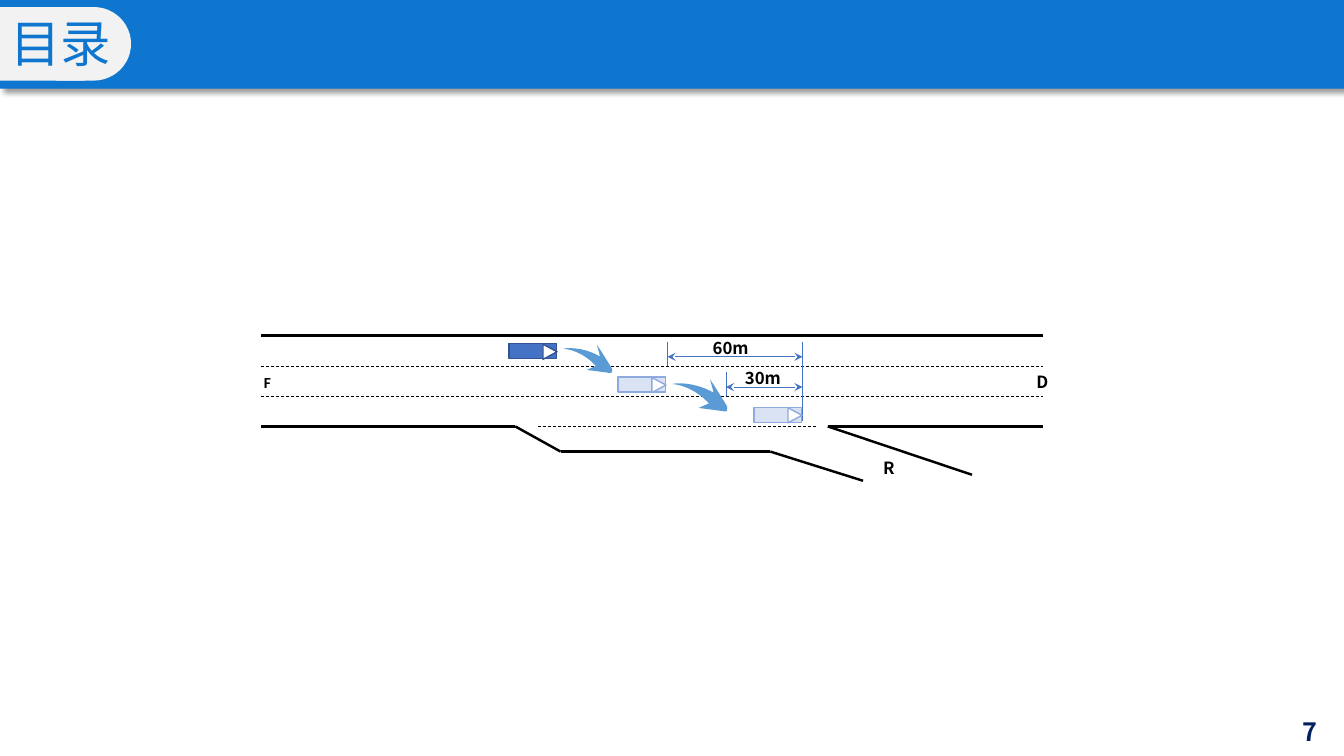
from dataclasses import dataclass
from typing import Any, NamedTuple

from lxml import etree
from pptx import Presentation
from pptx.dml.color import RGBColor
from pptx.enum.dml import MSO_LINE
from pptx.enum.shapes import MSO_CONNECTOR, MSO_SHAPE
from pptx.enum.text import MSO_ANCHOR, MSO_AUTO_SIZE, PP_ALIGN
from pptx.oxml.ns import qn
from pptx.util import Inches, Pt

STRAIGHT = MSO_CONNECTOR.STRAIGHT
RECTANGLE, TRIANGLE, DELAY = MSO_SHAPE.RECTANGLE, MSO_SHAPE.ISOSCELES_TRIANGLE, MSO_SHAPE.FLOWCHART_DELAY
DASH = MSO_LINE.DASH
TOP, MIDDLE = MSO_ANCHOR.TOP, MSO_ANCHOR.MIDDLE
LEFT, CENTER, JUSTIFY = PP_ALIGN.LEFT, PP_ALIGN.CENTER, PP_ALIGN.JUSTIFY


@dataclass(frozen=True)
class Theme:
    header: str = "0E76CE"
    badge: str = "F2F2F2"
    number: str = "002060"
    black: str = "000000"
    white: str = "FFFFFF"
    dimension: str = "4472C4"
    car: str = "4472C4"
    car_line: str = "325491"
    ghost: str = "DAE3F3"
    ghost_line: str = "8FAADC"
    arrow: str = "5B9BD5"
    font: str = "Noto Sans CJK SC"
    small_font: str = "Calibri"
    title_size: int = 36
    number_size: int = 18
    label_size: int = 12
    small_size: int = 11


THEME = Theme()


class Line(NamedTuple):
    x1: float
    y1: float
    x2: float
    y2: float


@dataclass(frozen=True)
class LineStyle:
    color: str
    width: float
    dash: Any = None
    arrows: bool = False


@dataclass(frozen=True)
class Label:
    text: str
    left: float
    top: float
    width: float
    height: float = 0.36
    size: int = THEME.label_size
    font: str = THEME.font
    color: str = THEME.black
    bold: bool = True
    align: Any = JUSTIFY
    anchor: Any = TOP
    line_spacing: float = 1.0
    space_after: int = 0


class Car(NamedTuple):
    left: float
    top: float
    fill: str
    line: str


class Swoosh(NamedTuple):
    left: float
    top: float
    scale: float


ROAD_LEFT, ROAD_RIGHT, ROAD_TOP, LANE = 2.59, 10.34, 3.33, 0.3
ROAD_BOTTOM = ROAD_TOP + 3 * LANE
GORE, EXIT = 8.21, 7.96

ROAD_EDGES = [
    Line(ROAD_LEFT, ROAD_TOP, ROAD_RIGHT, ROAD_TOP),
    Line(ROAD_LEFT, ROAD_BOTTOM, 5.11, ROAD_BOTTOM),
    Line(5.11, ROAD_BOTTOM, 5.56, 4.48),
    Line(5.56, 4.48, 7.64, 4.48),
    Line(7.64, 4.48, 8.56, 4.77),
    Line(GORE, ROAD_BOTTOM, ROAD_RIGHT, ROAD_BOTTOM),
    Line(GORE, ROAD_BOTTOM, 9.64, 4.71),
]
LANE_MARKS = [Line(ROAD_LEFT, ROAD_TOP + n * LANE, ROAD_RIGHT, ROAD_TOP + n * LANE) for n in (1, 2)]
LANE_MARKS.append(Line(5.34, ROAD_BOTTOM, 8.1, ROAD_BOTTOM))
EXTENSIONS = [Line(6.62, 3.39, 6.62, 3.63), Line(7.2, 3.69, 7.2, 3.93), Line(EXIT, 3.39, EXIT, 4.18)]
DIMENSIONS = [Line(6.62, 3.54, EXIT, 3.54), Line(7.2, 3.84, EXIT, 3.84)]
LINE_GROUPS = [
    (LineStyle(THEME.black, 1.75), ROAD_EDGES),
    (LineStyle(THEME.black, 0.5, dash=DASH), LANE_MARKS),
    (LineStyle(THEME.dimension, 0.5), EXTENSIONS),
    (LineStyle(THEME.dimension, 0.5, arrows=True), DIMENSIONS),
]
CARS = [
    Car(5.05, 3.41, THEME.car, THEME.car_line),
    Car(6.13, 3.74, THEME.ghost, THEME.ghost_line),
    Car(7.48, 4.04, THEME.ghost, THEME.ghost_line),
]
SWOOSHES = [Swoosh(5.59, 3.46, 1), Swoosh(6.67, 3.81, 1.13)]
LABELS = [
    Label("F", 2.52, 3.64, 0.33, size=THEME.small_size, font=THEME.small_font,
          align=LEFT, line_spacing=1.07, space_after=8),
    Label("D", 10.18, 3.64, 0.62),
    Label("R", 8.66, 4.49, 0.69),
    Label("60m", 6.97, 3.3, 0.69),
    Label("30m", 7.29, 3.6, 0.69),
    Label("7", 12.64, 7.06, 0.7, 0.4, size=THEME.number_size, color=THEME.number, align=CENTER, anchor=MIDDLE),
]
TITLE = Label("目录", 0, 0.07, 1.21, 0.71, size=THEME.title_size, color=THEME.header, bold=False, align=LEFT)


def set_values(target: Any, values: dict[str, Any]) -> None:
    for name, value in values.items():
        setattr(target, name, value)


def paint(shape: Any, fill: str, line: str | None = None) -> None:
    shape.shadow.inherit = False
    shape.fill.solid()
    shape.fill.fore_color.rgb = RGBColor.from_string(fill)
    if line:
        shape.line.color.rgb = RGBColor.from_string(line)
        shape.line.width = Pt(1)
    else:
        shape.line.fill.background()


def add_box(slide: Any, kind: Any, box: tuple, fill: str, line: str | None = None) -> Any:
    shape = slide.shapes.add_shape(kind, *map(Inches, box))
    paint(shape, fill, line)
    return shape


def add_header_shadow(shape: Any) -> None:
    effects = shape.element.spPr.find(qn("a:effectLst"))
    shadow = etree.SubElement(effects, qn("a:outerShdw"), blurRad=str(Pt(4)), dist=str(Pt(3)),
                              dir="2700000", algn="tl", rotWithShape="0")
    color = etree.SubElement(shadow, qn("a:srgbClr"), val=THEME.black)
    etree.SubElement(color, qn("a:alpha"), val="40000")


def add_line(slide: Any, line: Line, style: LineStyle) -> None:
    connector = slide.shapes.add_connector(STRAIGHT, *map(Inches, line))
    connector.line.color.rgb = RGBColor.from_string(style.color)
    set_values(connector.line, {"width": Pt(style.width), "dash_style": style.dash})
    properties = connector.element.spPr
    if style.arrows:
        for end in ("a:headEnd", "a:tailEnd"):
            etree.SubElement(properties.find(qn("a:ln")), qn(end), type="stealth")
    etree.SubElement(properties, qn("a:effectLst"))


def write_text(shape: Any, label: Label, wrap: bool = True) -> None:
    frame = shape.text_frame
    set_values(frame, {"word_wrap": wrap, "auto_size": MSO_AUTO_SIZE.NONE, "vertical_anchor": label.anchor})
    paragraph = frame.paragraphs[0]
    set_values(paragraph, {"alignment": label.align, "line_spacing": label.line_spacing,
                           "space_after": Pt(label.space_after)})
    run = paragraph.add_run()
    run.text = label.text
    set_values(run.font, {"size": Pt(label.size), "bold": label.bold, "name": label.font})
    run.font.color.rgb = RGBColor.from_string(label.color)
    latin = run.font._element.find(qn("a:latin"))
    latin.addnext(etree.Element(qn("a:ea"), typeface=label.font))


def add_car(slide: Any, car: Car) -> None:
    add_box(slide, RECTANGLE, (car.left, car.top, 0.47, 0.15), car.fill, car.line)
    nose = add_box(slide, TRIANGLE, (car.left + 0.33, car.top + 0.01, 0.15, 0.14), THEME.white, car.line)
    nose.rotation = 90


def curve(*controls: tuple[float, float], steps: int = 8) -> list[tuple[float, float]]:
    """Points along a cubic curve, without its start."""
    points = []
    for step in range(1, steps + 1):
        t = step / steps
        weights = ((1 - t) ** 3, 3 * t * (1 - t) ** 2, 3 * t * t * (1 - t), t ** 3)
        points.append(tuple(sum(w * c[axis] for w, c in zip(weights, controls)) for axis in (0, 1)))
    return points


def add_swoosh(slide: Any, swoosh: Swoosh) -> None:
    outline = [(0.47, 0.24), (0.48, 0.23), (0.48, 0.2), (0.47, 0.18), (0.37, 0.02), (0.33, -0.04), (0.36, 0.07),
               (0.35, 0.07), *curve((0.35, 0.07), (0.19, -0.02), (0.02, -0.01), (0, 0)),
               *curve((0, 0), (0.11, 0.01), (0.22, 0.07), (0.3, 0.15)), (0.32, 0.17), (0.23, 0.21), (0.46, 0.24)]
    points = [(Inches(swoosh.left + x * swoosh.scale), Inches(swoosh.top + y * swoosh.scale)) for x, y in outline]
    builder = slide.shapes.build_freeform(*points[0])
    builder.add_line_segments(points[1:], close=True)
    paint(builder.convert_to_shape(), THEME.arrow)


def main() -> None:
    presentation = Presentation()
    set_values(presentation, {"slide_width": Inches(13.33), "slide_height": Inches(7.5)})
    slide = presentation.slides.add_slide(presentation.slide_layouts[5])

    # Header band with the title on its badge
    add_header_shadow(add_box(slide, RECTANGLE, (0, 0, 13.33, 0.88), THEME.header))
    add_box(slide, RECTANGLE, (0, 0.07, 0.84, 0.73), THEME.badge)
    badge_end = add_box(slide, DELAY, (0.56, 0.07, 0.74, 0.73), THEME.badge)
    title = slide.shapes.title
    set_values(title, {name: Inches(getattr(TITLE, name)) for name in ("left", "top", "width", "height")})
    write_text(title, TITLE, wrap=False)
    badge_end.element.addnext(title.element)

    # Road and dimension lines
    for style, lines in LINE_GROUPS:
        for line in lines:
            add_line(slide, line, style)

    # Labels and page number
    for label in LABELS:
        box = map(Inches, (label.left, label.top, label.width, label.height))
        write_text(slide.shapes.add_textbox(*box), label)

    # Lane changes
    for swoosh in SWOOSHES:
        add_swoosh(slide, swoosh)
    for car in CARS:
        add_car(slide, car)

    presentation.save("out.pptx")


if __name__ == "__main__":
    main()
